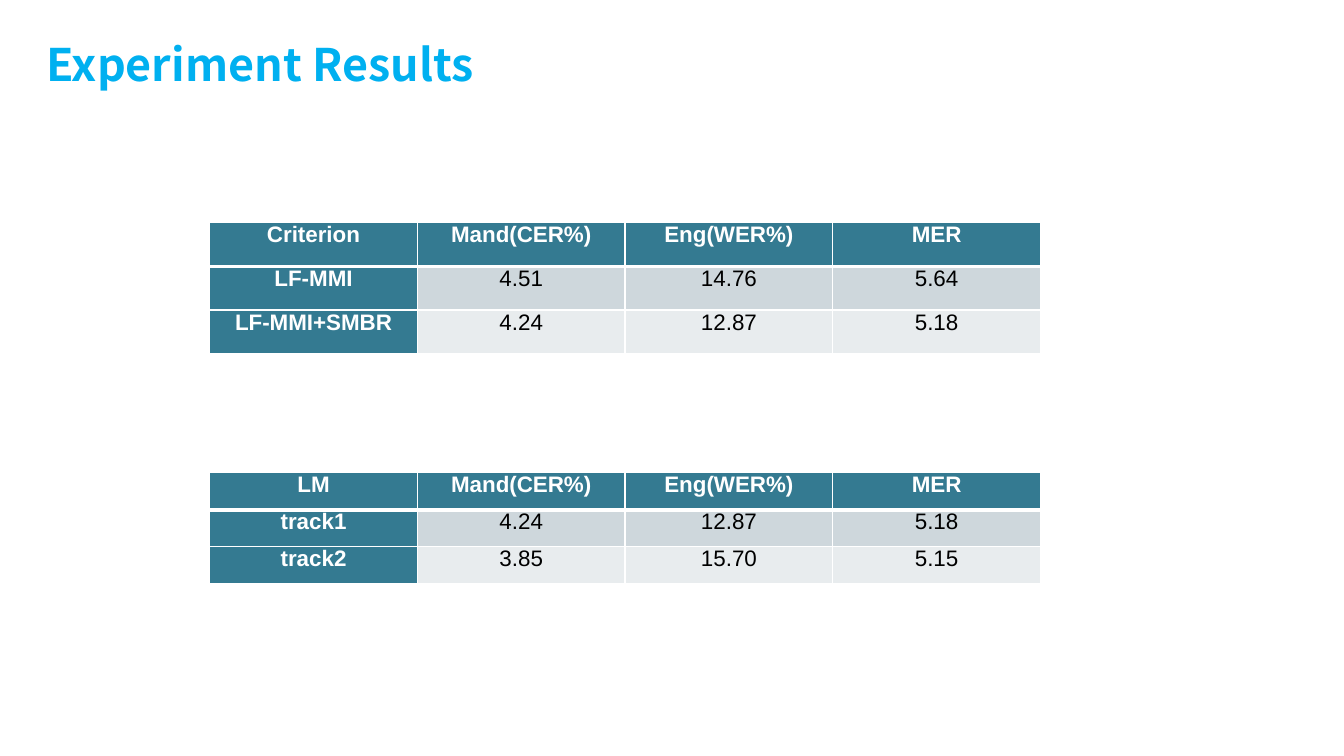
from lxml import etree
from pptx import Presentation
from pptx.dml import color
from pptx.enum import text
from pptx.oxml import ns
from pptx.util import Inches, Pt

TEAL, WHITE, BLACK, SKY = "347A91", "FFFFFF", "000000", "00B0F0"
BANDS = ["CED7DC", "E8ECEE"]
METRICS = ["Mand(CER%)", "Eng(WER%)", "MER"]
CRITERION_ROWS = [
    ["Criterion", *METRICS],
    ["LF-MMI", "4.51", "14.76", "5.64"],
    ["LF-MMI+SMBR", "4.24", "12.87", "5.18"],
]
LM_ROWS = [
    ["LM", *METRICS],
    ["track1", "4.24", "12.87", "5.18"],
    ["track2", "3.85", "15.70", "5.15"],
]


def rgb(value):
    return color.RGBColor.from_string(value)


def set_attrs(obj, values):
    for name, value in values.items():
        setattr(obj, name, value)


def format_font(font, name, size, fill, bold):
    set_attrs(font, {"name": name, "size": Pt(size), "bold": bold})
    font.color.rgb = rgb(fill)


def add_borders(cell, widths):
    tc_pr = cell._tc.get_or_add_tcPr()
    for side, width in widths.items():
        ln = etree.SubElement(tc_pr, ns.qn(f"a:ln{side}"), w=str(Pt(width)))
        fill = etree.SubElement(ln, ns.qn("a:solidFill"))
        etree.SubElement(fill, ns.qn("a:srgbClr"), val=WHITE)


def add_title(slide, words, left, top, width, height):
    sp = slide.shapes.title
    set_attrs(sp, {"left": Inches(left), "top": Inches(top),
                   "width": Inches(width), "height": Inches(height)})
    tf = sp.text_frame
    set_attrs(tf, {"word_wrap": True, "vertical_anchor": text.MSO_ANCHOR.TOP,
                   "auto_size": text.MSO_AUTO_SIZE.SHAPE_TO_FIT_TEXT})
    p = tf.paragraphs[0]
    set_attrs(p, {"alignment": text.PP_ALIGN.LEFT, "line_spacing": 1.5})
    r = p.add_run()
    r.text = words
    format_font(r.font, "Noto Sans CJK SC", 32, SKY, True)


def fill_cell(cell, words, row, col):
    heading = row == 0 or col == 0
    set_attrs(cell, {"margin_left": Inches(0.07), "margin_right": Inches(0.07),
                     "margin_top": 0, "margin_bottom": 0})
    add_borders(cell, {"L": 1, "R": 1, "T": 3 if row == 1 else 1,
                       "B": 3 if row == 0 else 1})
    cell.fill.solid()
    cell.fill.fore_color.rgb = rgb(TEAL if heading else BANDS[(row - 1) % 2])
    p = cell.text_frame.paragraphs[0]
    p.alignment = text.PP_ALIGN.CENTER
    r = p.add_run()
    r.text = words
    format_font(r.font, "Arial", 16, WHITE if heading else BLACK, heading)


def add_results(slide, rows, left, top, width, height):
    box = [Inches(v) for v in (left, top, width, height)]
    table = slide.shapes.add_table(len(rows), len(rows[0]), *box).table
    table.first_col = True
    for i, row in enumerate(rows):
        for j, words in enumerate(row):
            fill_cell(table.cell(i, j), words, i, j)


def main():
    prs = Presentation()
    set_attrs(prs, {"slide_width": Inches(13.33), "slide_height": Inches(7.5)})
    slide = prs.slides.add_slide(prs.slide_layouts[5])
    add_title(slide, "Experiment Results", 0.36, 0.05, 7.29, 0.78)
    add_results(slide, LM_ROWS, 2.08, 4.69, 8.24, 1.1)
    add_results(slide, CRITERION_ROWS, 2.08, 2.21, 8.24, 1.3)
    prs.save("out.pptx")


if __name__ == "__main__":
    main()
